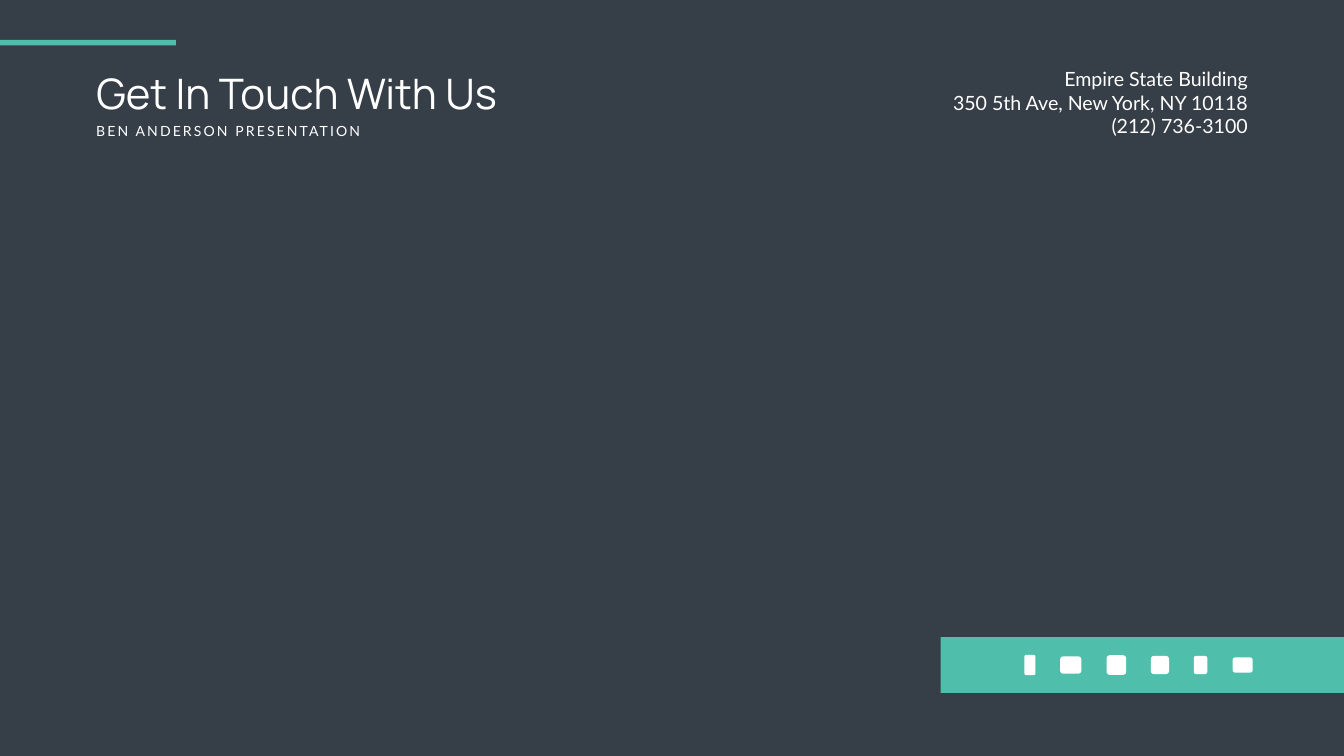
from dataclasses import dataclass

from pptx import Presentation
from pptx.dml.color import RGBColor
from pptx.enum.shapes import MSO_SHAPE
from pptx.enum.text import MSO_ANCHOR, MSO_AUTO_SIZE, PP_ALIGN
from pptx.util import Inches, Pt

LEFT, RIGHT = PP_ALIGN.LEFT, PP_ALIGN.RIGHT
TOP, MIDDLE = MSO_ANCHOR.TOP, MSO_ANCHOR.MIDDLE
NO_AUTOFIT = MSO_AUTO_SIZE.NONE
RECTANGLE, ROUNDED = MSO_SHAPE.RECTANGLE, MSO_SHAPE.ROUNDED_RECTANGLE
TITLE_ONLY = 5


@dataclass(frozen=True)
class Theme:
    background: RGBColor = RGBColor(0x36, 0x3E, 0x48)
    accent: RGBColor = RGBColor(0x4F, 0xBF, 0xAC)
    text: RGBColor = RGBColor(0xFF, 0xFF, 0xFF)
    heading_font: str = "Manrope"
    body_font: str = "Lato"
    title_size: int = 60
    subtitle_size: int = 20
    address_size: int = 28


THEME = Theme()
SLIDE_WIDTH, SLIDE_HEIGHT = 26.66, 15
TEXT_LEFT, TEXT_TOP = 1.81, 1.28
BAND_LEFT, BAND_TOP, BAND_HEIGHT = 18.66, 12.64, 1.11
SOCIAL_ICONS = [
    (20.32, 0.22, 0.4),
    (21.03, 0.42, 0.34),
    (21.95, 0.39, 0.39),
    (22.83, 0.36, 0.36),
    (23.68, 0.27, 0.36),
    (24.45, 0.4, 0.3),
]


def set_attributes(target, values):
    for name, value in values.items():
        setattr(target, name, value)


def write_lines(shape, lines, font, size, alignment=LEFT, anchor=TOP, spacing=0):
    frame = shape.text_frame
    set_attributes(frame, {
        "word_wrap": True,
        "auto_size": NO_AUTOFIT,
        "vertical_anchor": anchor,
    })
    for index, line in enumerate(lines):
        paragraph = frame.add_paragraph() if index else frame.paragraphs[0]
        paragraph.alignment = alignment
        run = paragraph.add_run()
        run.text = line
        set_attributes(run.font, {"name": font, "size": Pt(size)})
        run.font.color.rgb = THEME.text
        if spacing:
            run._r.get_or_add_rPr().set("spc", str(spacing * 100))


def add_title(slide, text, left, top, width, height):
    title = slide.shapes.title
    set_attributes(title, {
        "left": Inches(left),
        "top": Inches(top),
        "width": Inches(width),
        "height": Inches(height),
    })
    write_lines(title, [text], THEME.heading_font, THEME.title_size, anchor=MIDDLE)


def add_text(slide, lines, left, top, width, height, size, **options):
    box = slide.shapes.add_textbox(
        Inches(left), Inches(top), Inches(width), Inches(height))
    write_lines(box, lines, THEME.body_font, size, **options)


def add_block(slide, preset, color, left, top, width, height):
    block = slide.shapes.add_shape(
        preset, Inches(left), Inches(top), Inches(width), Inches(height))
    block.shadow.inherit = False
    block.fill.solid()
    block.fill.fore_color.rgb = color
    block.line.fill.background()


def add_social_band(slide):
    add_block(slide, RECTANGLE, THEME.accent, BAND_LEFT, BAND_TOP,
              SLIDE_WIDTH - BAND_LEFT, BAND_HEIGHT)
    middle = BAND_TOP + BAND_HEIGHT / 2
    for left, width, height in SOCIAL_ICONS:
        add_block(slide, ROUNDED, THEME.text, left, middle - height / 2, width, height)


def main():
    presentation = Presentation()
    set_attributes(presentation, {
        "slide_width": Inches(SLIDE_WIDTH),
        "slide_height": Inches(SLIDE_HEIGHT),
    })
    slide = presentation.slides.add_slide(presentation.slide_layouts[TITLE_ONLY])
    slide.background.fill.solid()
    slide.background.fill.fore_color.rgb = THEME.background

    add_title(slide, "Get In Touch With Us", TEXT_LEFT, TEXT_TOP, 10.8, 1.11)
    add_block(slide, RECTANGLE, THEME.accent, 0, 0.79, 3.49, 0.11)
    add_text(slide, ["BEN ANDERSON PRESENTATION"], TEXT_LEFT, 2.39, 5.85, 0.44,
             THEME.subtitle_size, spacing=3)
    address = ["Empire State Building", "350 5th Ave, New York, NY 10118", "(212) 736-3100"]
    add_text(slide, address, BAND_LEFT, TEXT_TOP, 6.19, 1.51,
             THEME.address_size, alignment=RIGHT)
    add_social_band(slide)
    presentation.save("out.pptx")


if __name__ == "__main__":
    main()
